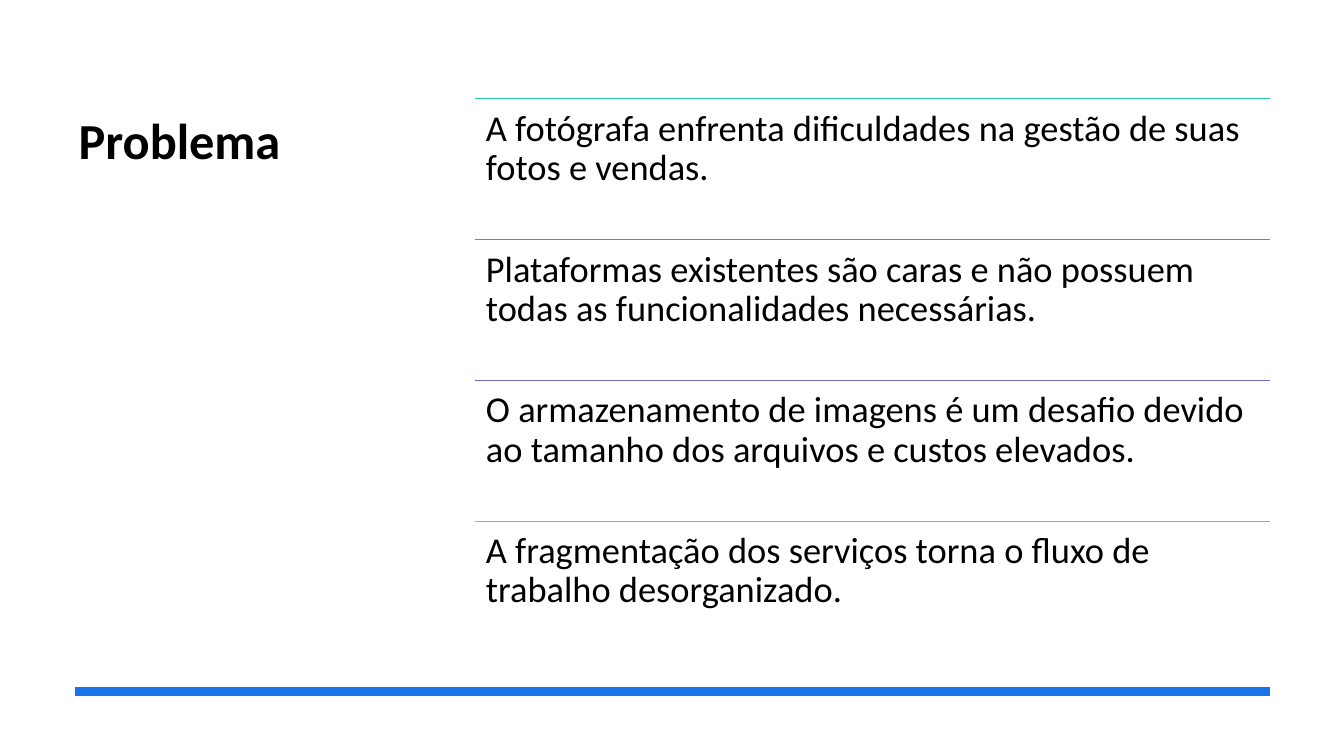
from lxml.etree import SubElement
from pptx import Presentation
from pptx.dml.color import RGBColor
from pptx.enum.shapes import MSO_CONNECTOR
from pptx.enum.text import MSO_ANCHOR
from pptx.oxml.ns import qn
from pptx.util import Inches, Pt

COLORS = {
    "text": "000000",
    "footer": "1973EB",
    "green": "25C8A2",
    "blue": "4395D0",
    "violet": "726ACF",
    "pink": "BF8ED1",
}
PROBLEMS = [
    ("green", "A fotógrafa enfrenta dificuldades na gestão de suas fotos e vendas."),
    ("blue", "Plataformas existentes são caras e não possuem todas as funcionalidades necessárias."),
    ("violet", "O armazenamento de imagens é um desafio devido ao tamanho dos arquivos e custos elevados."),
    ("pink", "A fragmentação dos serviços torna o fluxo de trabalho desorganizado."),
]
FOOTER_LEFT, LIST_LEFT, RIGHT = 0.74, 4.71, 12.6
LIST_TOP, ROW_HEIGHT = 0.98, 1.397


def add_rule(page, left, top, color, weight):
    rule = page.shapes.add_connector(
        MSO_CONNECTOR.STRAIGHT, Inches(left), Inches(top), Inches(RIGHT), Inches(top)
    )
    rule.line.color.rgb = RGBColor.from_string(COLORS[color])
    rule.line.width = Pt(weight)
    SubElement(rule._element.spPr, qn("a:effectLst"))


def add_text(page, left, top, width, height, text, size, inset, bold=False):
    box = page.shapes.add_textbox(Inches(left), Inches(top), Inches(width), Inches(height))
    frame = box.text_frame
    frame.word_wrap = True
    frame.vertical_anchor = MSO_ANCHOR.TOP
    frame.margin_left = frame.margin_right = Inches(inset)
    frame.margin_top = frame.margin_bottom = Inches(inset)
    para = frame.paragraphs[0]
    para.text = text
    para.font.name = "Calibri"
    para.font.size = Pt(size)
    para.font.bold = bold
    para.font.color.rgb = RGBColor.from_string(COLORS["text"])
    return para


def add_problem(page, row, color, text):
    top = LIST_TOP + row * ROW_HEIGHT
    add_rule(page, LIST_LEFT, top, color, 1)
    para = add_text(page, LIST_LEFT, top, RIGHT - LIST_LEFT, ROW_HEIGHT, text, 26, 0.11)
    para.line_spacing = 0.9


def main():
    deck = Presentation()
    deck.slide_width, deck.slide_height = Inches(13.33), Inches(7.5)
    page = deck.slides.add_slide(deck.slide_layouts[6])
    add_text(page, 0.7, 1, 3.28, 4.55, "Problema", 36, 0.08, bold=True)
    add_rule(page, FOOTER_LEFT, 6.86, "footer", 6)
    for row, (color, text) in enumerate(PROBLEMS):
        add_problem(page, row, color, text)
    deck.save("out.pptx")


if __name__ == "__main__":
    main()
